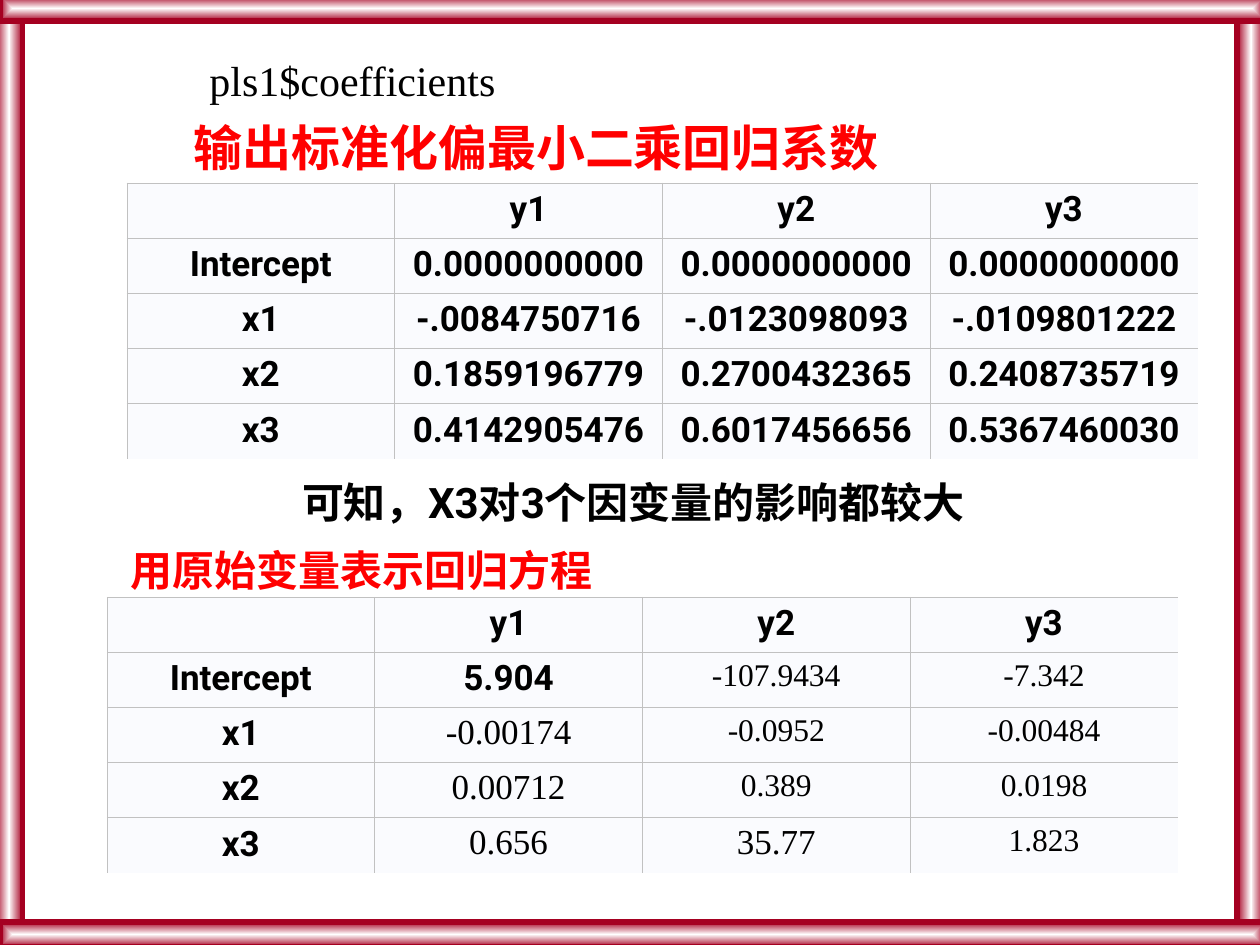
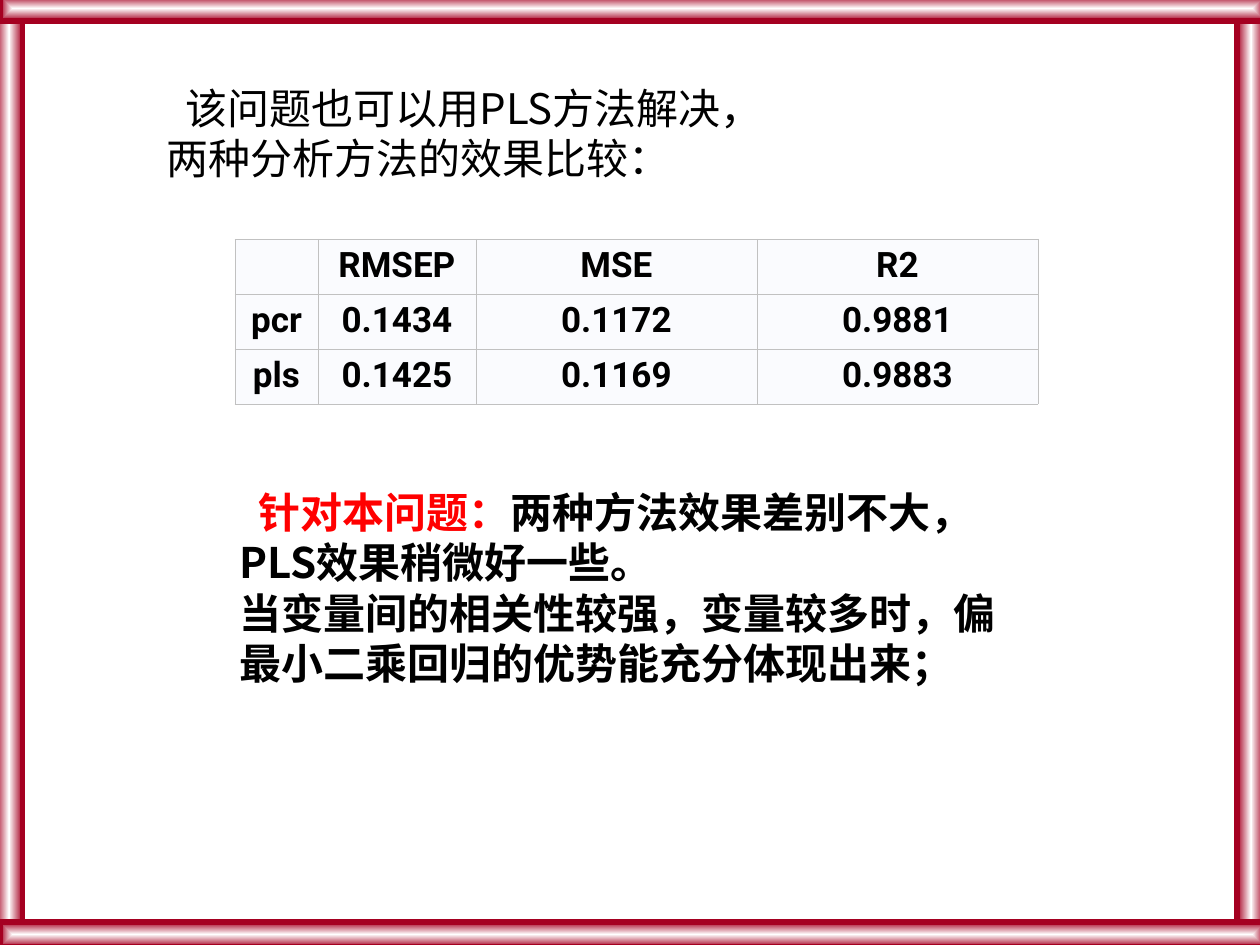
from lxml.etree import SubElement
from pptx import Presentation
from pptx.dml.color import RGBColor
from pptx.enum.shapes import MSO_SHAPE
from pptx.enum.text import MSO_ANCHOR, MSO_AUTO_SIZE, PP_ALIGN
from pptx.oxml.ns import qn
from pptx.util import Emu, Pt

SLIDE_WIDTH, SLIDE_HEIGHT = 1260, 945
EMU_PER_PX = 914400 / 126

BLACK = RGBColor(0x00, 0x00, 0x00)
WHITE = RGBColor(0xFF, 0xFF, 0xFF)
RED = RGBColor(0xFF, 0x00, 0x00)
CRIMSON = RGBColor(0xA5, 0x00, 0x21)
CELL_FILL = RGBColor(0xFA, 0xFB, 0xFE)
CELL_BORDER = RGBColor(0xC1, 0xC1, 0xC1)

CHINESE = "Noto Sans CJK SC"
SANS = "Roboto"
SERIF = "Times New Roman"

CELL_BOLD = dict(font=SANS, size=20, bold=True)
CELL_SERIF = dict(font=SERIF, size=20)
CELL_SMALL = dict(font=SERIF, size=18)

TITLE_ONLY, TITLE_AND_BODY = 5, 1

STANDARDIZED = [
    ["", "y1", "y2", "y3"],
    ["Intercept", "0.0000000000", "0.0000000000", "0.0000000000"],
    ["x1", "-.0084750716", "-.0123098093", "-.0109801222"],
    ["x2", "0.1859196779", "0.2700432365", "0.2408735719"],
    ["x3", "0.4142905476", "0.6017456656", "0.5367460030"],
]
UNSCALED = [
    ["", "y1", "y2", "y3"],
    ["Intercept", "5.904", "-107.9434", "-7.342"],
    ["x1", "-0.00174", "-0.0952", "-0.00484"],
    ["x2", "0.00712", "0.389", "0.0198"],
    ["x3", "0.656", "35.77", "1.823"],
]
COMPARISON = [
    ["", "RMSEP", "MSE", "R2"],
    ["pcr", "0.1434", "0.1172", "0.9881"],
    ["pls", "0.1425", "0.1169", "0.9883"],
]


def px(length):
    return Emu(round(length * EMU_PER_PX))


def place(shape, box):
    shape.left, shape.top, shape.width, shape.height = map(px, box)


def add_run(paragraph, text, font=CHINESE, size=24, color=BLACK, bold=False):
    run = paragraph.add_run()
    run.text = text
    run.font.name = font
    run.font.size = Pt(size)
    run.font.bold = bold
    run.font.color.rgb = color
    SubElement(run.font._element, qn("a:ea"), typeface=CHINESE)


def write(shape, paragraphs, size=24, align=PP_ALIGN.LEFT, wrap=True, indent=0, **run_format):
    """Fill a shape; a paragraph is a string or a list of (text, format) runs."""
    frame = shape.text_frame
    frame.word_wrap = wrap
    frame.auto_size = MSO_AUTO_SIZE.NONE
    frame.vertical_anchor = MSO_ANCHOR.TOP
    for index, runs in enumerate(paragraphs):
        paragraph = frame.paragraphs[0] if index == 0 else frame.add_paragraph()
        properties = paragraph._p.get_or_add_pPr()
        properties.set("marL", "0")
        properties.set("indent", str(px(indent if index == 0 else 0)))
        SubElement(properties, qn("a:buNone"))
        paragraph.alignment = align
        paragraph.space_before = Pt(0)
        paragraph.line_spacing = Pt(size * 1.2)
        if isinstance(runs, str):
            runs = [(runs, {})]
        for text, changes in runs:
            add_run(paragraph, text, **{"size": size, **run_format, **changes})


def add_text(slide, box, text, **text_format):
    write(slide.shapes.add_textbox(*map(px, box)), [text], wrap=False, **text_format)


def set_borders(cell, hidden_sides):
    properties = cell._tc.get_or_add_tcPr()
    for side in "LRTB":
        line = SubElement(properties, qn(f"a:ln{side}"), w=str(Pt(0.34)))
        if side in hidden_sides:
            SubElement(line, qn("a:noFill"))
        else:
            fill = SubElement(line, qn("a:solidFill"))
            SubElement(fill, qn("a:srgbClr"), val=str(CELL_BORDER))


def add_data_table(slide, box, rows, column_widths=None, open_edges=False, cell_format=None):
    """cell_format(row, column) gives a cell's run format; open_edges drops right and bottom lines."""
    table = slide.shapes.add_table(len(rows), len(rows[0]), *map(px, box)).table
    table.first_row = table.horz_banding = False
    for column, width in zip(table.columns, column_widths or []):
        column.width = px(width)
    for row, values in enumerate(rows):
        for column, value in enumerate(values):
            cell = table.cell(row, column)
            hidden = ""
            if open_edges and column == len(values) - 1:
                hidden += "R"
            if open_edges and row == len(rows) - 1:
                hidden += "B"
            set_borders(cell, hidden)
            cell.fill.solid()
            cell.fill.fore_color.rgb = CELL_FILL
            cell.margin_left = cell.margin_right = px(6)
            cell.margin_top = cell.margin_bottom = px(6)
            if value:
                paragraph = cell.text_frame.paragraphs[0]
                paragraph.alignment = PP_ALIGN.CENTER
                add_run(paragraph, value, **(cell_format(row, column) if cell_format else CELL_BOLD))


def unscaled_format(row, column):
    if row == 0 or column == 0 or (row, column) == (1, 1):
        return CELL_BOLD
    if column == 1 or (row, column) == (4, 2):
        return CELL_SERIF
    return CELL_SMALL


def add_master_frame(presentation, slide):
    """Draw the four bars on a slide, then move them to the back of the master."""
    bars = [
        (1237, -4, 28, 945),
        (-5, 0, 28, 945),
        (0, -4, 1265, 25),
        (0, 922, 1265, 25),
    ]
    master_tree = presentation.slide_master.shapes.element
    for index, box in enumerate(bars):
        bar = slide.shapes.add_shape(MSO_SHAPE.RECTANGLE, *map(px, box))
        bar.shadow.inherit = False
        bar.line.color.rgb = CRIMSON
        bar.line.width = Pt(3)
        bar.fill.gradient()
        for stop, color in zip(bar.fill.gradient_stops, (WHITE, CRIMSON)):
            stop.color.rgb = color
        gradient = bar.element.spPr.find(qn("a:gradFill"))
        gradient.remove(gradient.find(qn("a:lin")))
        shade = SubElement(gradient, qn("a:path"), path="rect")
        SubElement(shade, qn("a:fillToRect"), l="50000", t="50000", r="50000", b="50000")
        bar.element.nvSpPr.cNvPr.set("id", str(100 + index))
        master_tree.insert(2 + index, bar.element)


def build_coefficients(slide):
    title = slide.shapes.title
    place(title, (181, 111, 755, 72))
    write(title, ["输出标准化偏最小二乘回归系数"], size=28, color=RED, bold=True)
    add_text(slide, (197, 48, 311, 63), "pls1$coefficients", font=SERIF)
    add_data_table(slide, (127, 183, 1071, 276), STANDARDIZED, open_edges=True)
    add_text(slide, (268, 470, 731, 63), "可知，X3对3个因变量的影响都较大",
             font=SANS, bold=True, align=PP_ALIGN.CENTER)
    add_text(slide, (118, 538, 486, 63), "用原始变量表示回归方程", color=RED, bold=True)
    add_data_table(slide, (107, 597, 1071, 276), UNSCALED, open_edges=True,
                   cell_format=unscaled_format)


def build_comparison(slide):
    title = slide.shapes.title
    place(title, (154, 76, 669, 113))
    write(title, ["该问题也可以用PLS方法解决，", "两种分析方法的效果比较："], indent=19)
    add_data_table(slide, (235, 239, 803, 165), COMPARISON, column_widths=(83, 158, 281, 281))
    conclusion = slide.placeholders[1]
    place(conclusion, (227, 480, 823, 265))
    write(conclusion, [
        [("针对本问题：", dict(color=RED)), ("两种方法效果差别不大，PLS效果稍微好一些。", {})],
        "当变量间的相关性较强，变量较多时，偏最小二乘回归的优势能充分体现出来；",
    ], bold=True, indent=19)


def main():
    presentation = Presentation()
    presentation.slide_width = px(SLIDE_WIDTH)
    presentation.slide_height = px(SLIDE_HEIGHT)
    layouts = presentation.slide_layouts
    coefficients = presentation.slides.add_slide(layouts[TITLE_ONLY])
    comparison = presentation.slides.add_slide(layouts[TITLE_AND_BODY])
    add_master_frame(presentation, coefficients)
    build_coefficients(coefficients)
    build_comparison(comparison)
    presentation.save("out.pptx")


if __name__ == "__main__":
    main()
